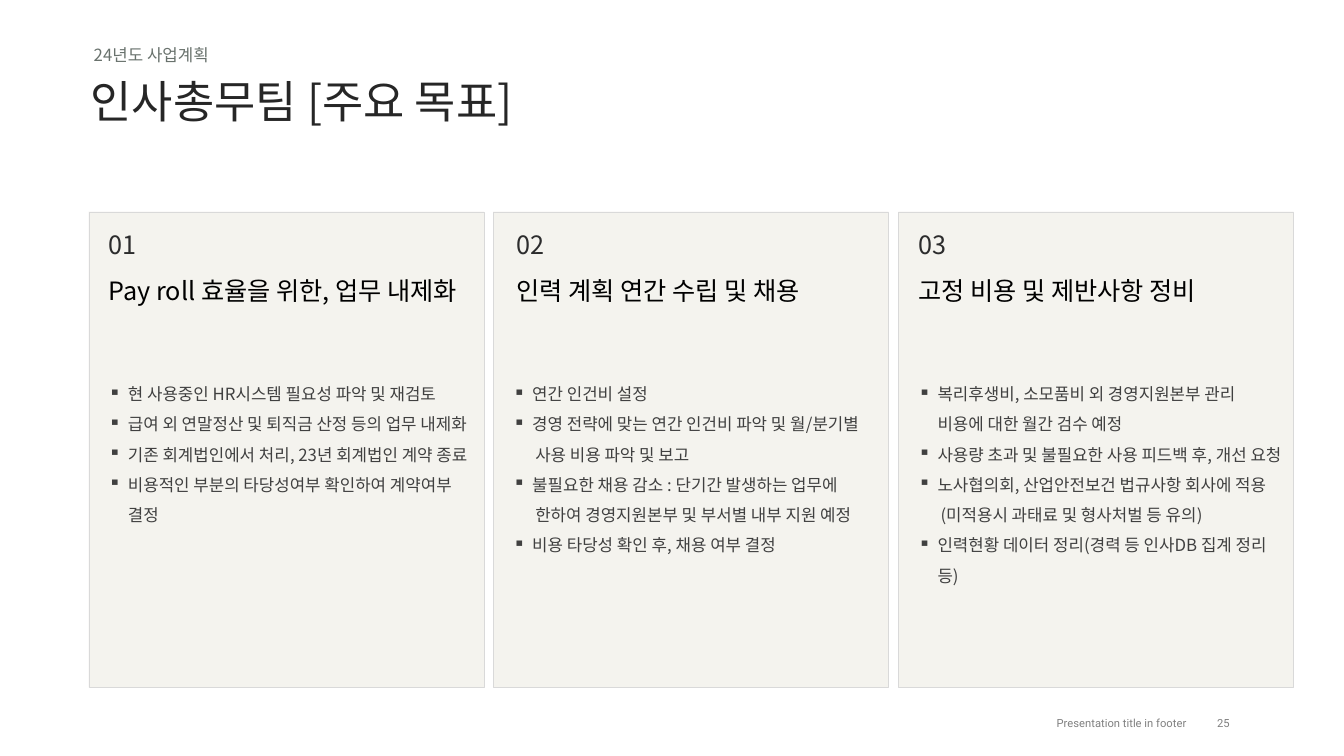
from pptx import Presentation
from pptx.dml.color import RGBColor
from pptx.enum.shapes import MSO_SHAPE as Shape
from pptx.enum.text import MSO_ANCHOR as Anchor, MSO_AUTO_SIZE as AutoSize, PP_ALIGN as Align
from pptx.oxml.ns import qn
from pptx.oxml.xmlchemy import OxmlElement
from pptx.util import Pt

PX = 9144  # 100 px to the inch
KOREAN = "Noto Sans CJK KR"
LATIN = "Roboto"
BULLET_INDENT = 19
CONTINUATION_INDENT = 22

# Number, heading, heading inset, then (text, is a bullet) lines
GOALS = [
    ("01", "Pay roll 효율을 위한, 업무 내제화", 10, [
        ("현 사용중인 HR시스템 필요성 파악 및 재검토", True),
        ("급여 외 연말정산 및 퇴직금 산정 등의 업무 내제화", True),
        ("기존 회계법인에서 처리, 23년 회계법인 계약 종료", True),
        ("비용적인 부분의 타당성여부 확인하여 계약여부 결정", True),
    ]),
    ("02", "인력 계획 연간 수립 및 채용", 13, [
        ("연간 인건비 설정", True),
        ("경영 전략에 맞는 연간 인건비 파악 및 월/분기별", True),
        ("사용 비용 파악 및 보고", False),
        ("불필요한 채용 감소 : 단기간 발생하는 업무에", True),
        ("한하여 경영지원본부 및 부서별 내부 지원 예정", False),
        ("비용 타당성 확인 후, 채용 여부 결정", True),
    ]),
    ("03", "고정 비용 및 제반사항 정비", 10, [
        ("복리후생비, 소모품비 외 경영지원본부 관리 비용에 대한 월간 검수 예정", True),
        ("사용량 초과 및 불필요한 사용 피드백 후, 개선 요청", True),
        ("노사협의회, 산업안전보건 법규사항 회사에 적용", True),
        ("(미적용시 과태료 및 형사처벌 등 유의)", False),
        ("인력현황 데이터 정리(경력 등 인사DB 집계 정리 등)", True),
    ]),
]


def px(*lengths):
    return [round(length * PX) for length in lengths]


def color(hex_code):
    return RGBColor.from_string(hex_code)


def style_run(run, size, fill, font):
    run.font.size = Pt(size)
    run.font.name = font
    run.font.color.rgb = color(fill)
    east_asian = OxmlElement("a:ea")
    east_asian.set("typeface", font)
    run.font._element.find(qn("a:latin")).addnext(east_asian)


def indent(paragraph, bulleted):
    """Hang a square bullet, or align a continuation line below bullet text."""
    properties = paragraph._p.get_or_add_pPr()
    left = BULLET_INDENT if bulleted else CONTINUATION_INDENT
    properties.set("marL", str(left * PX))
    properties.set("indent", str(-left * PX if bulleted else 0))
    bullet = OxmlElement("a:buChar" if bulleted else "a:buNone")
    if bulleted:
        bullet.set("char", "▪")
    properties.append(bullet)


def write(frame, text, size=12, fill="404040", font=KOREAN, align=Align.LEFT,
          anchor=Anchor.TOP, insets=(10, 5), spacing=None):
    """Fill a frame with a string, or with (text, is a bullet) lines."""
    frame.word_wrap = True
    frame.auto_size = AutoSize.NONE
    frame.vertical_anchor = anchor
    frame.margin_left = frame.margin_right = insets[0] * PX
    frame.margin_top = frame.margin_bottom = insets[1] * PX
    lines = [(text, None)] if isinstance(text, str) else text
    for number, (words, bulleted) in enumerate(lines):
        paragraph = frame.add_paragraph() if number else frame.paragraphs[0]
        paragraph.alignment = align
        if spacing:
            paragraph.line_spacing = spacing
        if bulleted is not None:
            indent(paragraph, bulleted)
        run = paragraph.add_run()
        run.text = words
        style_run(run, size, fill, font)


def add_text(slide, box, text, **text_format):
    write(slide.shapes.add_textbox(*px(*box)).text_frame, text, **text_format)


def add_header(slide, left, top):
    title = slide.shapes.title
    title.left, title.top, title.width, title.height = px(left, top + 29, 606, 64)
    write(title.text_frame, "인사총무팀 [주요 목표]", size=32, fill="262626", insets=(5, 5))
    add_text(slide, (left + 3, top, 400, 30), "24년도 사업계획",
             fill="69726D", insets=(5, 5))


def add_goal_card(slide, box, goal):
    number, heading, heading_inset, lines = goal
    left, top, width, _ = box
    card = slide.shapes.add_shape(Shape.RECTANGLE, *px(*box))
    card.shadow.inherit = False
    card.fill.solid()
    card.fill.fore_color.rgb = color("F4F3EE")
    card.line.color.rgb = color("D9D9D9")
    card.line.width = Pt(0.25)
    heading_left = left + heading_inset
    add_text(slide, (heading_left, top + 13, 58, 40), number, size=18, fill="2C2C2D")
    add_text(slide, (heading_left, top + 58, width - 11, 40), heading,
             size=18, fill="000000")
    add_text(slide, (left + 10, top + 156, width - 11, 188), lines, spacing=1.5)


def add_footer(slide, left, top):
    small = dict(size=8, fill="808080", font=LATIN, anchor=Anchor.MIDDLE, insets=(0, 0))
    add_text(slide, (left, top, 323, 31), "Presentation title in footer",
             align=Align.RIGHT, **small)
    add_text(slide, (left + 323, top, 73, 31), "25", align=Align.CENTER, **small)


def main():
    deck = Presentation()
    deck.slide_width, deck.slide_height = px(1333, 750)
    slide = deck.slides.add_slide(deck.slide_layouts[5])
    add_header(slide, 85, 39)
    for column, goal in enumerate(GOALS):
        add_goal_card(slide, (88 + column * 803 // 2, 210, 392, 472), goal)
    add_footer(slide, 854, 702)
    deck.save("out.pptx")


if __name__ == "__main__":
    main()
